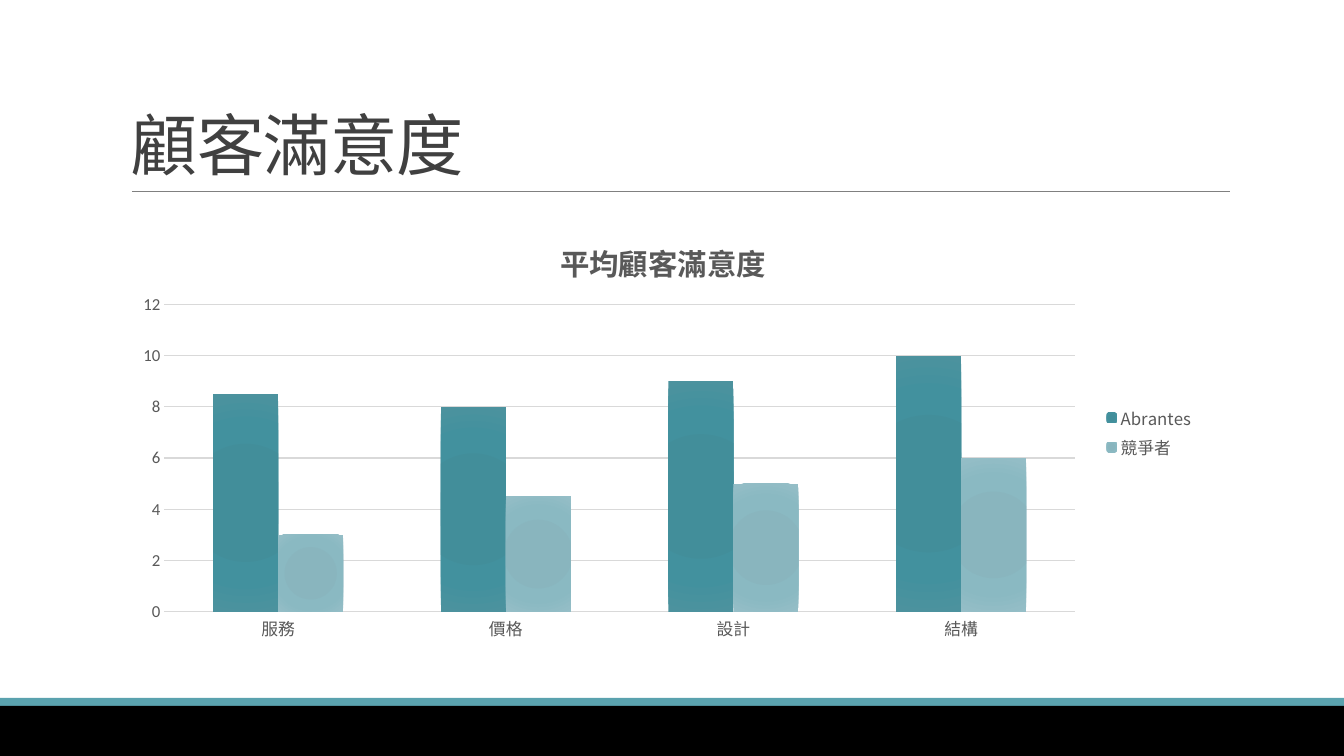
from lxml import etree
from pptx import Presentation
from pptx.chart.data import CategoryChartData
from pptx.dml.color import RGBColor
from pptx.enum.chart import XL_CHART_TYPE, XL_LEGEND_POSITION, XL_TICK_MARK
from pptx.enum.shapes import MSO_CONNECTOR, MSO_SHAPE
from pptx.enum.text import MSO_ANCHOR
from pptx.oxml import parse_xml
from pptx.oxml.ns import nsdecls, qn
from pptx.util import Emu, Pt

COLUMNS = XL_CHART_TYPE.COLUMN_CLUSTERED
RIGHT = XL_LEGEND_POSITION.RIGHT
NO_TICK = XL_TICK_MARK.NONE
STRAIGHT = MSO_CONNECTOR.STRAIGHT
RECT = MSO_SHAPE.RECTANGLE
BOTTOM = MSO_ANCHOR.BOTTOM

LATIN = "Calibri"
HAN = "Noto Sans CJK TC"
TEAL = RGBColor(0x5A, 0xA2, 0xAE)
BLACK = RGBColor(0, 0, 0)
INK = RGBColor(0x40, 0x40, 0x40)
TEXT = RGBColor(0x59, 0x59, 0x59)
RULE = RGBColor(0x80, 0x80, 0x80)
GRID = RGBColor(0xD9, 0xD9, 0xD9)

WIDTH, HEIGHT = 1344, 756
SCALE = 914400 / 100.8
STOPS = (0, 34, 70, 100)
CATS = ("服務", "價格", "設計", "結構")
SERIES = (
    ("Abrantes", (8.5, 8, 9, 10), ("408D9A", "428E9A", "42919E", "4C929E")),
    ("競爭者", (3, 4.5, 5, 6), ("86B4BE", "89B5BE", "8AB9C2", "95BEC7")),
)


def px(*sizes):
    return [Emu(round(size * SCALE)) for size in sizes]


def style(font, size, color, face=LATIN, bold=False):
    """Format a font, with the Han face for East Asian text."""
    font.size, font.bold, font.name = Pt(size), bold, face
    font.color.rgb = color
    latin = font._element.find(qn("a:latin"))
    han = etree.Element(qn("a:ea"), typeface=HAN)
    latin.addnext(han)


def add_text(slide, text, box, size, color, space=0):
    frame = slide.shapes.add_textbox(*px(*box)).text_frame
    frame.word_wrap = True
    frame.vertical_anchor = BOTTOM
    para = frame.paragraphs[0]
    para.line_spacing = 0.85
    run = para.add_run()
    run.text = text
    style(run.font, size, color)
    run.font._element.set("spc", str(round(space * 100)))


def add_band(slide, top, height, color):
    band = slide.shapes.add_shape(RECT, *px(0, top, WIDTH, height))
    band.shadow.inherit = False
    band.fill.solid()
    band.fill.fore_color.rgb = color
    band.line.fill.background()


def add_rule(slide, left, right, top):
    rule = slide.shapes.add_connector(STRAIGHT, *px(left, top, right, top))
    rule.line.color.rgb = RULE
    rule.line.width = Pt(0.5)
    etree.SubElement(rule._element.spPr, qn("a:effectLst"))


def fill_radial(series, colors):
    stops = "".join(
        f'<a:gs pos="{stop * 1000}"><a:srgbClr val="{color}"/></a:gs>'
        for stop, color in zip(STOPS, colors))
    fill = parse_xml(
        f'<a:gradFill {nsdecls("a")} rotWithShape="1"><a:gsLst>{stops}</a:gsLst>'
        '<a:path path="circle"><a:fillToRect l="100000" t="100000" '
        'r="100000" b="100000"/></a:path></a:gradFill>')
    series.format.line.fill.background()
    series._element.spPr.insert(0, fill)


def place_plot(chart, **sides):
    """Fix the inner plot area, in shares of the chart."""
    parts = "".join(f'<c:{side} val="{share}"/>' for side, share in sides.items())
    layout = parse_xml(
        f'<c:layout {nsdecls("c")}><c:manualLayout><c:layoutTarget val="inner"/>'
        f'<c:xMode val="edge"/><c:yMode val="edge"/>{parts}'
        '</c:manualLayout></c:layout>')
    chart._chartSpace.chart.plotArea.insert(0, layout)


def add_columns(slide, title, box):
    data = CategoryChartData()
    data.categories = CATS
    for name, values, _ in SERIES:
        data.add_series(name, values)
    chart = slide.shapes.add_chart(COLUMNS, *px(*box), data).chart
    style(chart.font, 10, BLACK)

    frame = chart.chart_title.text_frame
    frame.text = title
    style(frame.paragraphs[0].runs[0].font, 21, TEXT, HAN, bold=True)
    chart.chart_title.include_in_layout = False

    chart.has_legend = True
    chart.legend.position = RIGHT
    chart.legend.include_in_layout = False
    style(chart.legend.font, 12, TEXT, HAN)

    cat, val = chart.category_axis, chart.value_axis
    for axis, face in ((cat, HAN), (val, LATIN)):
        axis.major_tick_mark = axis.minor_tick_mark = NO_TICK
        style(axis.tick_labels.font, 12, TEXT, face)
    cat.format.line.color.rgb = GRID
    cat.format.line.width = Pt(1)
    val.format.line.fill.background()
    val.minimum_scale, val.maximum_scale, val.major_unit = 0, 12, 2
    val.major_gridlines.format.line.color.rgb = GRID
    val.major_gridlines.format.line.width = Pt(0.75)

    plot = chart.plots[0]
    plot.gap_width, plot.overlap, plot.vary_by_categories = 150, 0, False
    for series, (_, _, colors) in zip(plot.series, SERIES):
        fill_radial(series, colors)
    place_plot(chart, x=0.04, y=0.2, w=0.84, h=0.72)


def main():
    deck = Presentation()
    deck.slide_width, deck.slide_height = px(WIDTH, HEIGHT)
    slide = deck.slides.add_slide(deck.slide_layouts[6])
    add_band(slide, 698, 10, TEAL)
    add_rule(slide, 132, 1230, 191)
    add_band(slide, 706, 50, BLACK)
    add_text(slide, "顧客滿意度", (121, 29, 1109, 160),
             size=48, color=INK, space=-0.5)
    add_columns(slide, "平均顧客滿意度", (121, 219, 1084, 427))
    deck.save("out.pptx")


if __name__ == "__main__":
    main()
